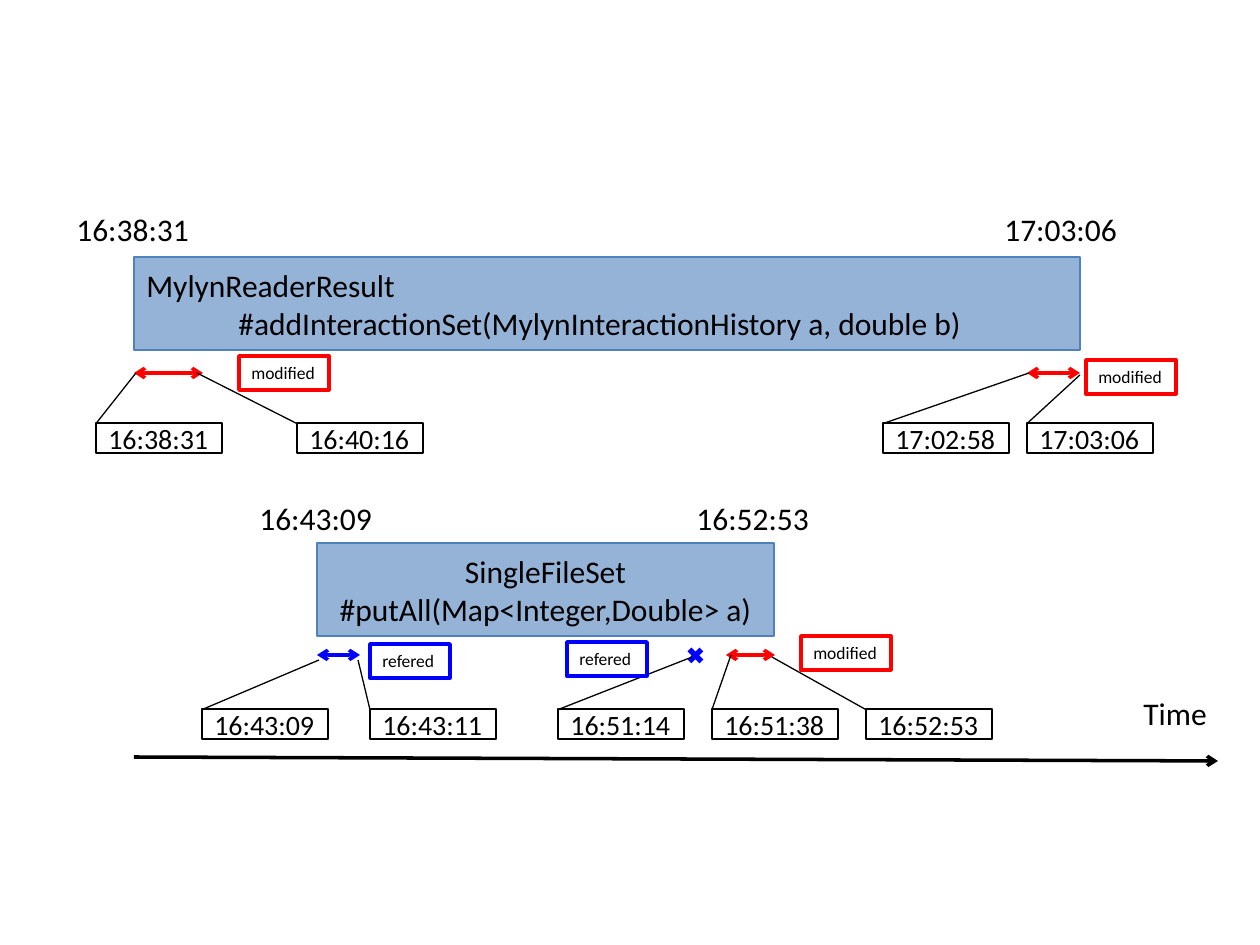
"""Build a slide showing when two methods were modified or referred to over time."""
from lxml import etree
from pptx import Presentation, util as u
from pptx.dml.color import RGBColor
from pptx.enum import shapes, text
from pptx.oxml.ns import qn

SCALE = u.Inches(1) / 126
BLACK, RED, BLUE, WHITE = "000000", "FF0000", "0000FF", "FFFFFF"
METHOD_FILL, METHOD_LINE = "95B3D7", "4F81BD"
LEFT, CENTER = text.PP_ALIGN.LEFT, text.PP_ALIGN.CENTER

METHODS = [
    ((134, 257, 946, 93), LEFT, 92,
     ["MylynReaderResult", "#addInteractionSet(MylynInteractionHistory a, double b)"]),
    ((317, 543, 457, 93), CENTER, 0,
     ["SingleFileSet", "#putAll(Map<Integer,Double> a)"]),
]
LABELS = [
    ("Time", 1131, 688, 90), ("16:43:09", 247, 493, 139), ("16:52:53", 684, 493, 139),
    ("16:38:31", 64, 204, 139), ("17:03:06", 992, 204, 139),
]
SPANS = [
    (134, 203, 373, RED), (1027, 1080, 373, RED),
    (317, 360, 655, BLUE), (726, 775, 655, RED),
]
CALLOUT_ROWS = [
    (423, [("16:38:31", 96, 136, 373), ("16:40:16", 297, 197, 373),
           ("17:02:58", 883, 1029, 373), ("17:03:06", 1027, 1080, 375)]),
    (709, [("16:43:09", 202, 319, 660), ("16:43:11", 370, 358, 660),
           ("16:51:14", 558, 692, 657), ("16:51:38", 712, 731, 655),
           ("16:52:53", 866, 772, 657)]),
]
CALLOUT_WIDTH, CALLOUT_HEIGHT = 126, 30
TAGS = [
    ("modified", 239, 356, 90, RED), ("modified", 1086, 360, 90, RED),
    ("modified", 801, 636, 90, RED), ("refered", 370, 644, 80, BLUE),
    ("refered", 567, 642, 80, BLUE),
]


def px(value):
    return u.Emu(round(value * SCALE))


def color(value):
    return RGBColor.from_string(value)


def write(shape, lines, size, align=LEFT, anchor=text.MSO_ANCHOR.MIDDLE, wrap=True):
    frame = shape.text_frame
    frame.text = "\n".join(lines)
    frame.word_wrap = wrap
    frame.vertical_anchor = anchor
    if not wrap:
        frame.auto_size = text.MSO_AUTO_SIZE.SHAPE_TO_FIT_TEXT
    for para in frame.paragraphs:
        para.alignment = align
        for span in para.runs:
            span.font.name = "Calibri"
            span.font.size = u.Pt(size)
            span.font.color.rgb = color(BLACK)


def add_box(page, kind, bounds, fill=None, line=None, width=0.75):
    box = page.shapes.add_shape(kind, *map(px, bounds))
    box.shadow.inherit = False
    if fill:
        box.fill.solid()
        box.fill.fore_color.rgb = color(fill)
    else:
        box.fill.background()
    if line:
        box.line.color.rgb = color(line)
        box.line.width = u.Pt(width)
    else:
        box.line.fill.background()
    return box


def add_arrow(page, ends, line, heads):
    arrow = page.shapes.add_connector(shapes.MSO_CONNECTOR.STRAIGHT, *map(px, ends))
    arrow.line.color.rgb = color(line)
    arrow.line.width = u.Pt(2)
    outline = arrow.line._get_or_add_ln()
    for head in heads:
        etree.SubElement(outline, qn("a:" + head), type="arrow")
    etree.SubElement(arrow._element.spPr, qn("a:effectLst"))


deck = Presentation()
deck.slide_width, deck.slide_height = u.Inches(10), u.Inches(7.5)
page = deck.slides.add_slide(deck.slide_layouts[6])
kinds = shapes.MSO_SHAPE

for bounds, align, indent, lines in METHODS:
    method = add_box(page, kinds.RECTANGLE, bounds, METHOD_FILL, METHOD_LINE)
    write(method, lines, 18, align)
    if indent:
        signature = method.text_frame.paragraphs[1]
        signature._p.get_or_add_pPr().set("marL", str(px(indent)))

add_arrow(page, (134, 757, 1218, 761), BLACK, ["tailEnd"])

for label, left, top, width in LABELS:
    box = page.shapes.add_textbox(px(left), px(top), px(width), px(50))
    write(box, [label], 18, anchor=text.MSO_ANCHOR.TOP, wrap=False)

for start, end, level, line in SPANS:
    add_arrow(page, (start, level, end, level), line, ["headEnd", "tailEnd"])

add_box(page, kinds.MATH_MULTIPLY, (684, 644, 23, 23), BLUE)

for top, callouts in CALLOUT_ROWS:
    for moment, left, tip_x, tip_y in callouts:
        callout = add_box(page, kinds.LINE_CALLOUT_1,
                          (left, top, CALLOUT_WIDTH, CALLOUT_HEIGHT), line=BLACK)
        leader = (0.02, 0, (tip_y - top) / CALLOUT_HEIGHT, (tip_x - left) / CALLOUT_WIDTH)
        for index, value in enumerate(leader):
            callout.adjustments[index] = value
        write(callout, [moment], 16)

for label, left, top, width, line in TAGS:
    tag = add_box(page, kinds.RECTANGLE, (left, top, width, 34), WHITE, line, 2)
    write(tag, [label], 10, anchor=text.MSO_ANCHOR.TOP, wrap=False)

deck.save("out.pptx")
